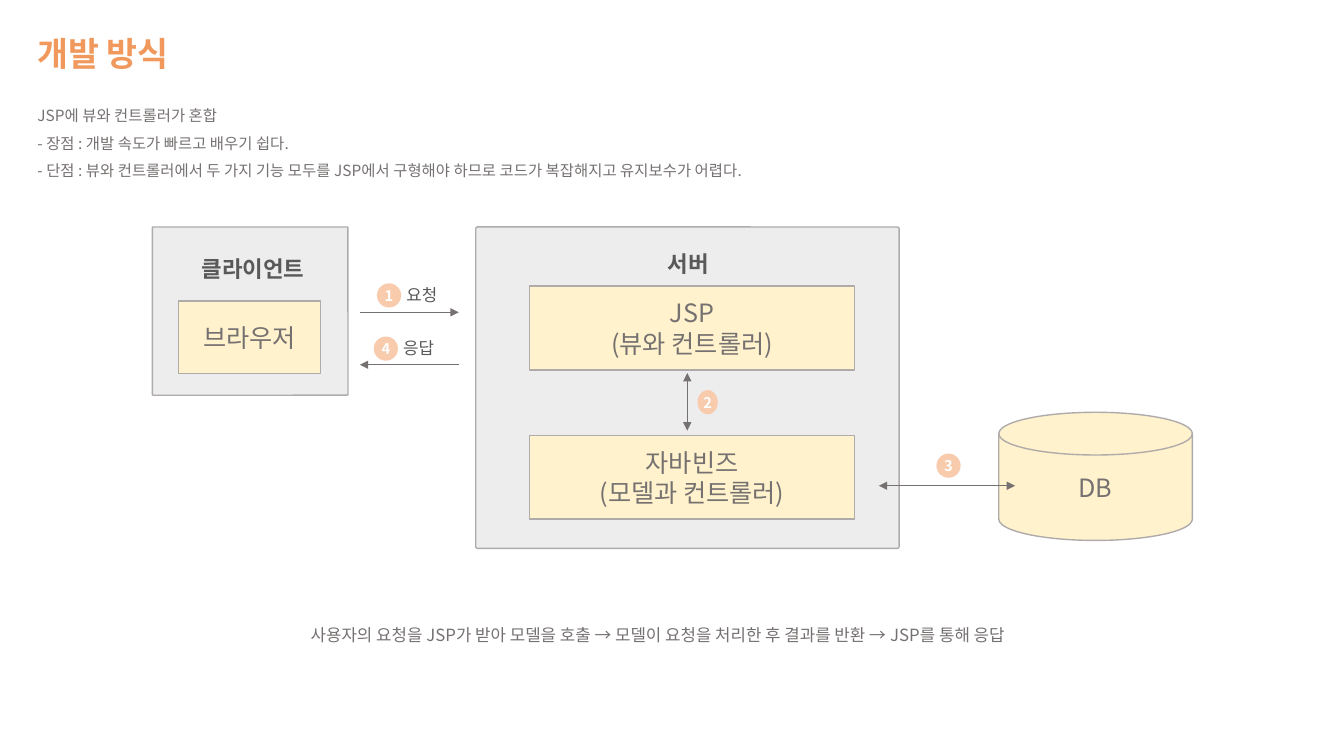
from pptx import Presentation
from pptx import util as u
from pptx.dml import color
from pptx.enum import shapes, text
from pptx.oxml import ns
from lxml import etree

FONT = "Noto Sans CJK KR"
GRAY, DARK, EDGE = "767171", "595959", "AFABAB"
KIND = shapes.MSO_SHAPE
MID, TOP = text.MSO_ANCHOR.MIDDLE, text.MSO_ANCHOR.TOP
LEFT, CENTER = text.PP_ALIGN.LEFT, text.PP_ALIGN.CENTER


def rgb(code):
    return color.RGBColor.from_string(code)


def sub(node, tag, **attrs):
    return etree.SubElement(node, ns.qn(tag), **attrs)


def write(frame, words, size=18, ink=GRAY, bold=False, align=CENTER,
          anchor=MID, space=None, pad=None, grow=False):
    frame.text = words
    frame.word_wrap = True
    frame.vertical_anchor = anchor
    fit = text.MSO_AUTO_SIZE
    frame.auto_size = fit.SHAPE_TO_FIT_TEXT if grow else fit.NONE
    if pad is not None:
        frame.margin_left = frame.margin_right = u.Cm(pad)
        frame.margin_top = frame.margin_bottom = u.Cm(pad)
    for para in frame.paragraphs:
        para.alignment = align
        para.space_before = u.Pt(0)
        if space:
            para.line_spacing = space
        for run in para.runs:
            font = run.font
            font.name, font.size, font.bold = FONT, u.Pt(size), bold
            font.color.rgb = rgb(ink)
            sub(run._r.get_or_add_rPr(), "a:ea", typeface=FONT)


def place(shape, x, y, w, h):
    shape.left, shape.top = u.Cm(x), u.Cm(y)
    shape.width, shape.height = u.Cm(w), u.Cm(h)


def block(slide, kind, x, y, w, h, fill, edge=EDGE, bend=None):
    shape = slide.shapes.add_shape(kind, u.Cm(x), u.Cm(y), u.Cm(w), u.Cm(h))
    shape.shadow.inherit = False
    shape.fill.solid()
    shape.fill.fore_color.rgb = rgb(fill)
    if edge:
        shape.line.color.rgb = rgb(edge)
        shape.line.width = u.Pt(1)
    else:
        shape.line.fill.background()
    if bend is not None:
        shape.adjustments[0] = bend
    return shape


def panel(slide, *spot):
    block(slide, KIND.ROUNDED_RECTANGLE, *spot, "EDEDED", bend=0.006)


def card(slide, words, *spot, kind=KIND.ROUNDED_RECTANGLE, bend=0):
    shape = block(slide, kind, *spot, "FFF2CC", bend=bend)
    write(shape.text_frame, words)


def badge(slide, num, x, y, w=0.61):
    shape = block(slide, KIND.OVAL, x, y, w, 0.61, "F8CBAD", edge=None)
    write(shape.text_frame, num, size=10.5, ink="FFFFFF", bold=True, pad=0)


def label(slide, words, x, y, w, h, **style):
    box = slide.shapes.add_textbox(u.Cm(x), u.Cm(y), u.Cm(w), u.Cm(h))
    write(box.text_frame, words, anchor=TOP, grow=True, **style)


def arrow(slide, x1, y1, x2, y2, both=False):
    line = slide.shapes.add_connector(
        shapes.MSO_CONNECTOR.STRAIGHT, u.Cm(x1), u.Cm(y1), u.Cm(x2), u.Cm(y2))
    line.line.color.rgb = rgb(GRAY)
    line.line.width = u.Pt(0.5)
    stroke = line.line._get_or_add_ln()
    if both:
        sub(stroke, "a:headEnd", type="triangle")
    sub(stroke, "a:tailEnd", type="triangle")
    sub(line._element.spPr, "a:effectLst")


def intro(slide):
    title, body = slide.shapes.title, slide.placeholders[1]
    place(title, 0.69, 0.43, 20.47, 1.96)
    write(title.text_frame, "개발 방식", size=24, ink="F1995D", bold=True,
          align=LEFT, space=0.9)
    place(body, 0.69, 2.31, 26.24, 3)
    lines = ["JSP에 뷰와 컨트롤러가 혼합",
             "- 장점 : 개발 속도가 빠르고 배우기 쉽다.",
             "- 단점 : 뷰와 컨트롤러에서 두 가지 기능 모두를 JSP에서 "
             "구형해야 하므로 코드가 복잡해지고 유지보수가 어렵다."]
    write(body.text_frame, "\n".join(lines), size=11, align=LEFT,
          anchor=TOP, space=1.5)
    for para in body.text_frame.paragraphs:
        props = para._p.get_or_add_pPr()
        props.set("marL", "0")
        props.set("indent", "0")
        sub(props, "a:buNone")


def main():
    prs = Presentation()
    prs.slide_width, prs.slide_height = u.Cm(33.87), u.Cm(19.05)
    slide = prs.slides.add_slide(prs.slide_layouts[1])
    intro(slide)

    panel(slide, 3.84, 5.72, 4.93, 4.24)
    card(slide, "브라우저", 4.5, 7.59, 3.58, 1.83)
    panel(slide, 11.99, 5.72, 10.67, 8.1)
    layers = [("JSP\n(뷰와 컨트롤러)", 7.21),
              ("자바빈즈\n(모델과 컨트롤러)", 10.97)]
    for words, y in layers:
        card(slide, words, 13.34, y, 8.2, 2.11)
    for words, x, y in [("클라이언트", 4.47, 6.3), ("서버", 15.44, 6.17)]:
        label(slide, words, x, y, 3.81, 0.94, size=16, ink=DARK, bold=True)
    card(slide, "DB", 25.17, 10.39, 4.88, 3.23,
         kind=KIND.FLOWCHART_MAGNETIC_DISK, bend=None)

    arrow(slide, 22.15, 12.24, 25.58, 12.24, both=True)
    arrow(slide, 17.32, 10.85, 17.32, 9.4, both=True)
    arrow(slide, 9.07, 7.87, 11.56, 7.87)
    arrow(slide, 11.56, 9.19, 9.07, 9.19)

    for words, num, x, y in [("요청", "1", 9.5, 7.14), ("응답", "4", 9.42, 8.48)]:
        label(slide, words, x + 0.05, y - 0.1, 2.16, 0.76, size=12, ink=DARK)
        badge(slide, num, x, y)
    badge(slide, "2", 17.58, 9.83, w=0.51)
    badge(slide, "3", 23.6, 11.43)

    label(slide, "사용자의 요청을 JSP가 받아 모델을 호출 → 모델이 요청을 "
          "처리한 후 결과를 반환 → JSP를 통해 응답",
          2.06, 15.37, 29.03, 0.91, size=12, space=1.5)
    prs.save("out.pptx")


if __name__ == "__main__":
    main()
